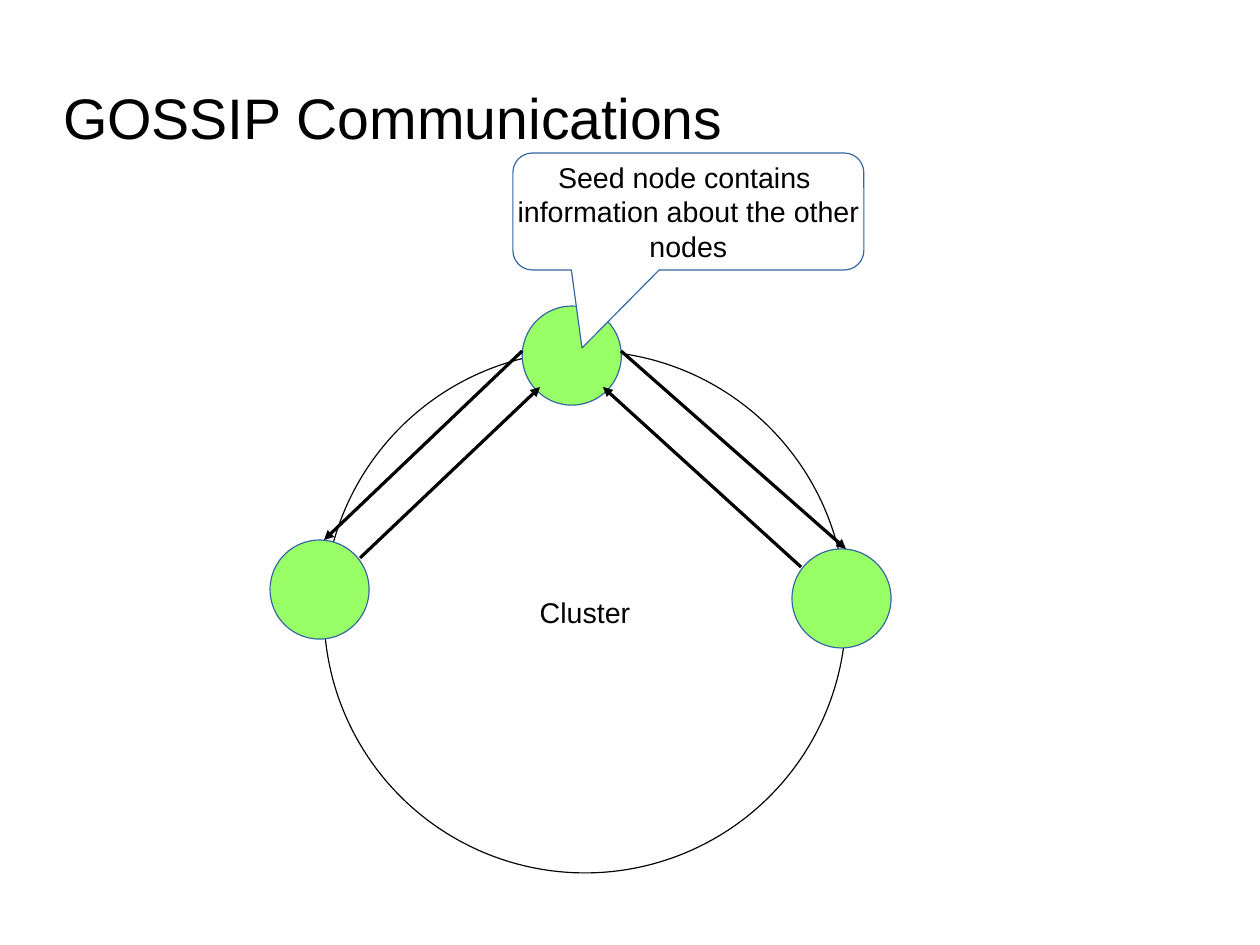
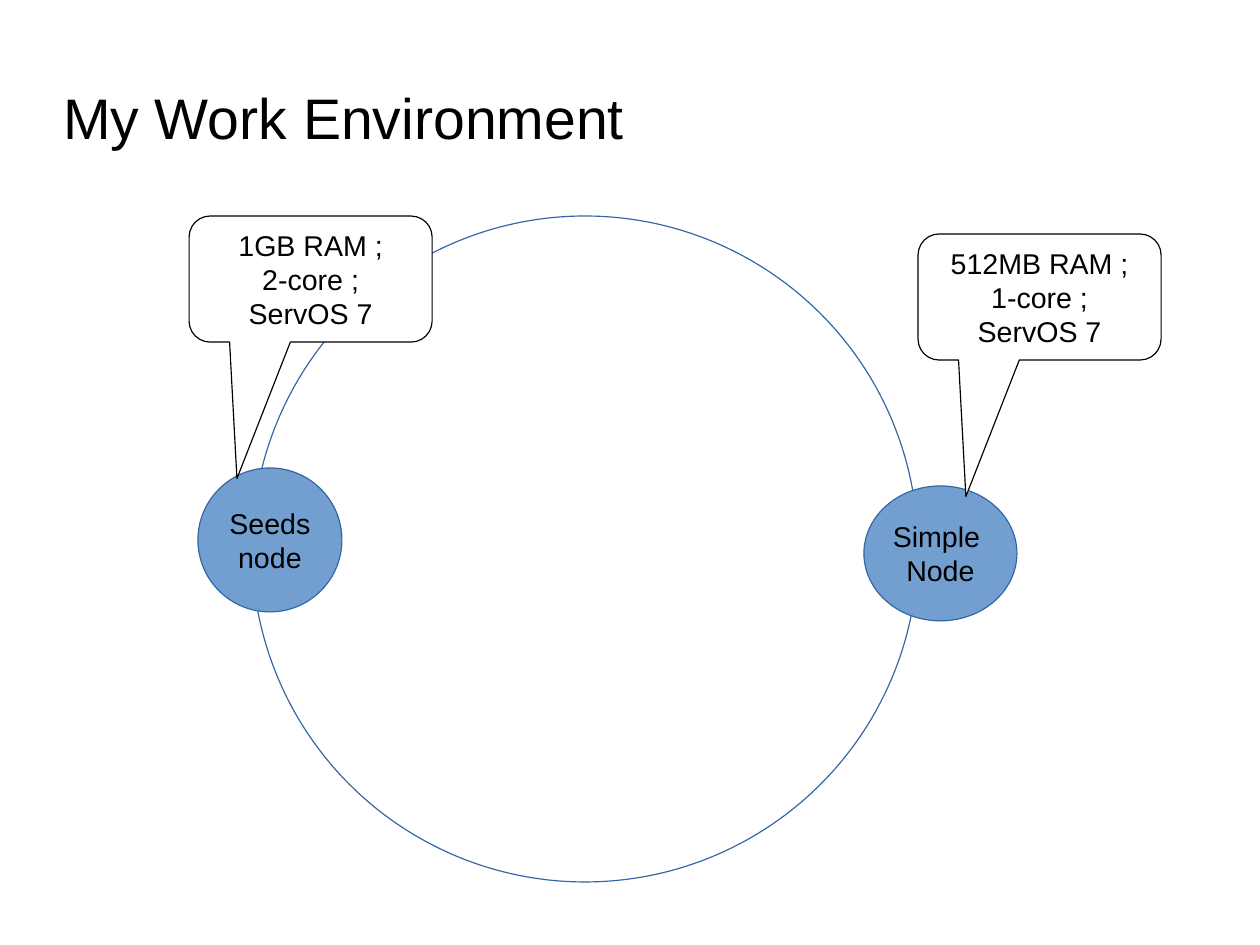
from dataclasses import dataclass

from lxml import etree
from pptx import Presentation
from pptx.dml.color import RGBColor
from pptx.enum.shapes import MSO_CONNECTOR, MSO_SHAPE
from pptx.enum.text import MSO_ANCHOR, PP_ALIGN
from pptx.oxml.ns import qn
from pptx.util import Pt

OVAL = MSO_SHAPE.OVAL
CALLOUT = MSO_SHAPE.ROUNDED_RECTANGULAR_CALLOUT
STRAIGHT = MSO_CONNECTOR.STRAIGHT
MIDDLE = MSO_ANCHOR.MIDDLE
LEFT, CENTER = PP_ALIGN.LEFT, PP_ALIGN.CENTER


@dataclass(frozen=True)
class Theme:
    font: str = "Arial"
    title_size: int = 36
    body_size: int = 18
    hairline: int = 0
    black: RGBColor = RGBColor(0x00, 0x00, 0x00)
    white: RGBColor = RGBColor(0xFF, 0xFF, 0xFF)
    blue: RGBColor = RGBColor(0x34, 0x65, 0xA4)
    light_blue: RGBColor = RGBColor(0x72, 0x9F, 0xCF)
    green: RGBColor = RGBColor(0x99, 0xFF, 0x66)


theme = Theme()


def write(tf, lines, size, align):
    tf.vertical_anchor = MIDDLE
    for i, line in enumerate(lines):
        p = tf.paragraphs[0] if i == 0 else tf.add_paragraph()
        p.alignment = align
        r = p.add_run()
        r.text = line
        r.font.name = theme.font
        r.font.size = Pt(size)
        r.font.color.rgb = theme.black


def add_outlined(s, kind, box, fill, line, lines=()):
    sp = s.shapes.add_shape(kind, *map(Pt, box))
    sp.shadow.inherit = False
    sp.fill.solid()
    sp.fill.fore_color.rgb = fill
    sp.line.color.rgb = line
    sp.line.width = Pt(theme.hairline)
    sp.text_frame.word_wrap = False
    write(sp.text_frame, lines, theme.body_size, CENTER)
    return sp


prs = Presentation()
prs.slide_width, prs.slide_height = Pt(793.7), Pt(595.3)

slides = []
for title in ("GOSSIP Communications", "My Work Environment"):
    s = prs.slides.add_slide(prs.slide_layouts[6])
    tf = s.shapes.add_textbox(Pt(39.7), Pt(45.4), Pt(566.9), Pt(56.7)).text_frame
    tf.margin_left = tf.margin_right = tf.margin_top = tf.margin_bottom = 0
    tf.word_wrap = True
    write(tf, [title], theme.title_size, LEFT)
    slides.append(s)
gossip, environment = slides

add_outlined(gossip, OVAL, (204.1, 221.1, 328.8, 328.8),
             theme.white, theme.black, ["Cluster"])
node_size = 62.4
for x, y in ((498.9, 345.8), (170.1, 340.2), (329, 192.8)):
    add_outlined(gossip, OVAL, (x, y, node_size, node_size), theme.green, theme.blue)
seed_note = add_outlined(
    gossip, CALLOUT, (323.1, 96.4, 221.1, 73.7), theme.white, theme.blue,
    ["Seed node contains ", "information about the other", "nodes"])
seed_note.adjustments[0] = -0.303
seed_note.adjustments[1] = 1.167

arrows = (
    (226.8, 351.5, 340.2, 243.8),
    (504.6, 357.2, 379.8, 243.8),
    (329, 221.1, 204.1, 340.2),
    (391.2, 221.1, 532.9, 345.8),
)
for ends in arrows:
    arrow = gossip.shapes.add_connector(STRAIGHT, *map(Pt, ends))
    arrow.line.color.rgb = theme.black
    arrow.line.width = Pt(theme.hairline)
    sp_pr = arrow.element.spPr
    etree.SubElement(sp_pr.find(qn("a:ln")), qn("a:tailEnd"), type="triangle")
    etree.SubElement(sp_pr, qn("a:effectLst"))

add_outlined(environment, OVAL, (158.7, 136.1, 419.5, 419.5), theme.white, theme.blue)
machines = (
    ((544.2, 306.1, 96.4, 85), ["Simple ", "Node"]),
    ((124.7, 294.8, 90.7, 90.7), ["Seeds", "node"]),
)
for box, lines in machines:
    add_outlined(environment, OVAL, box, theme.light_blue, theme.blue, lines)

specs = (
    (578.3, 147.4, "512MB RAM", "1-core"),
    (119.1, 136.1, "1GB RAM", "2-core"),
)
for x, y, memory, cores in specs:
    note = add_outlined(
        environment, CALLOUT, (x, y, 153.1, 79.4), theme.white, theme.black,
        [f"{memory}\u00a0;", f"{cores}\u00a0;", "ServOS 7"])
    note.adjustments[0] = -0.303
    note.adjustments[1] = 1.583

prs.save("out.pptx")
